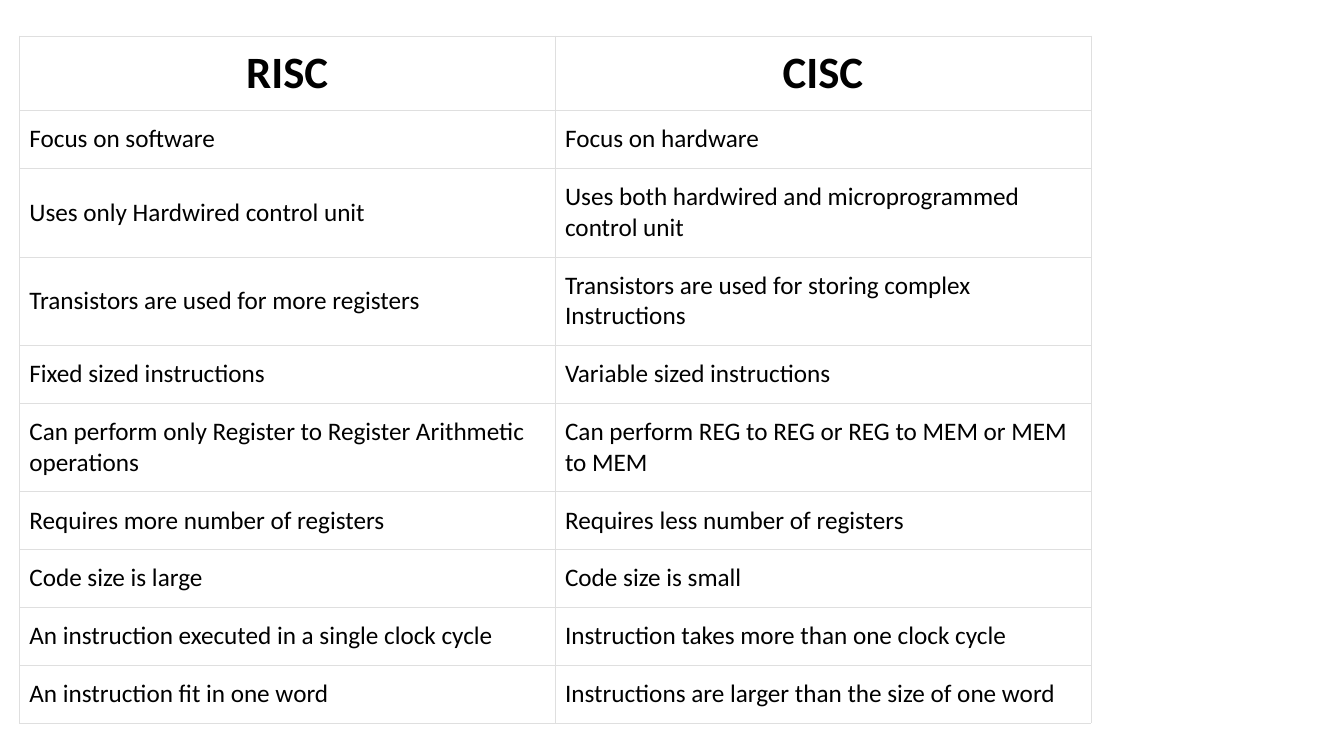
"""Build a slide with a table comparing RISC and CISC processors."""
from lxml.etree import SubElement
from pptx import Presentation
from pptx.dml.color import RGBColor
from pptx.enum.text import MSO_ANCHOR, PP_ALIGN
from pptx.oxml.ns import qn
from pptx.util import Cm, Pt

COMPARISON = [
    ("RISC", "CISC"),
    ("Focus on software", "Focus on hardware"),
    ("Uses only Hardwired control unit",
     "Uses both hardwired and microprogrammed control unit"),
    ("Transistors are used for more registers",
     "Transistors are used for storing complex\u00a0\vInstructions"),
    ("Fixed sized instructions", "Variable sized instructions"),
    ("Can perform only Register to Register Arithmetic operations",
     "Can perform REG to REG or REG to MEM or MEM to MEM"),
    ("Requires more number of registers", "Requires less number of registers"),
    ("Code size is large", "Code size is small"),
    ("An instruction executed in a single clock cycle",
     "Instruction takes more than one clock cycle"),
    ("An instruction fit in one word",
     "Instructions are larger than the size of one word"),
]
HEADER_HEIGHT, BODY_HEIGHT, BROKEN_LINE_HEIGHT = Cm(1.05), Cm(1.17), Cm(1.65)
TABLE_HEIGHT = Cm(17.15)
BLACK, WHITE, BORDER = "000000", "FFFFFF", "DFDFDF"


def color(value):
    return RGBColor.from_string(value)


def add_borders(cell):
    properties = cell._tc.get_or_add_tcPr()
    for side in ("a:lnL", "a:lnR", "a:lnT", "a:lnB"):
        line = SubElement(properties, qn(side), w=str(Pt(0.23)))
        fill = SubElement(line, qn("a:solidFill"))
        SubElement(fill, qn("a:srgbClr"), val=BORDER)


def fill_cell(cell, text, is_header):
    add_borders(cell)
    cell.fill.solid()
    cell.fill.fore_color.rgb = color(WHITE)
    cell.vertical_anchor = MSO_ANCHOR.MIDDLE
    cell.margin_left = cell.margin_right = Cm(0.25)
    cell.margin_top = cell.margin_bottom = Cm(0.25 if is_header else 0.34)
    cell.text = text
    para = cell.text_frame.paragraphs[0]
    para.alignment = PP_ALIGN.CENTER if is_header else PP_ALIGN.LEFT
    para.font.name = "Calibri"
    para.font.size = Pt(32 if is_header else 18)
    para.font.bold = is_header
    para.font.color.rgb = color(BLACK)


def row_height(index, texts):
    if index == 0:
        return HEADER_HEIGHT
    return BROKEN_LINE_HEIGHT if "\v" in "".join(texts) else BODY_HEIGHT


deck = Presentation()
deck.slide_width, deck.slide_height = Cm(33.87), Cm(19.05)
page = deck.slides.add_slide(deck.slide_layouts[6])
frame = page.shapes.add_table(len(COMPARISON), 2, Cm(0.49), Cm(0.9),
                              Cm(27), TABLE_HEIGHT)
table = frame.table
for index, texts in enumerate(COMPARISON):
    table.rows[index].height = row_height(index, texts)
    for column, text in enumerate(texts):
        fill_cell(table.cell(index, column), text, index == 0)
table.cell(0, 0).margin_left = table.cell(0, 0).margin_right = Cm(0.1)
frame.height = TABLE_HEIGHT
deck.save("out.pptx")
